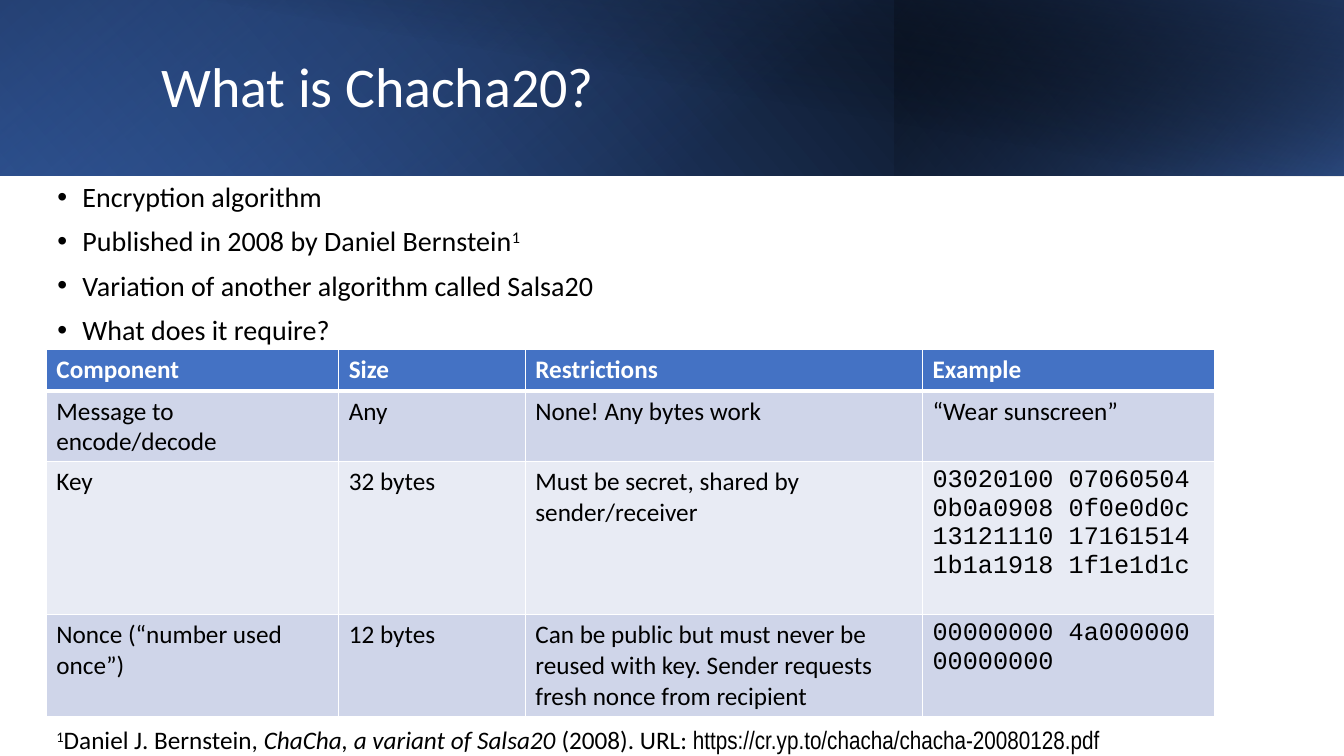
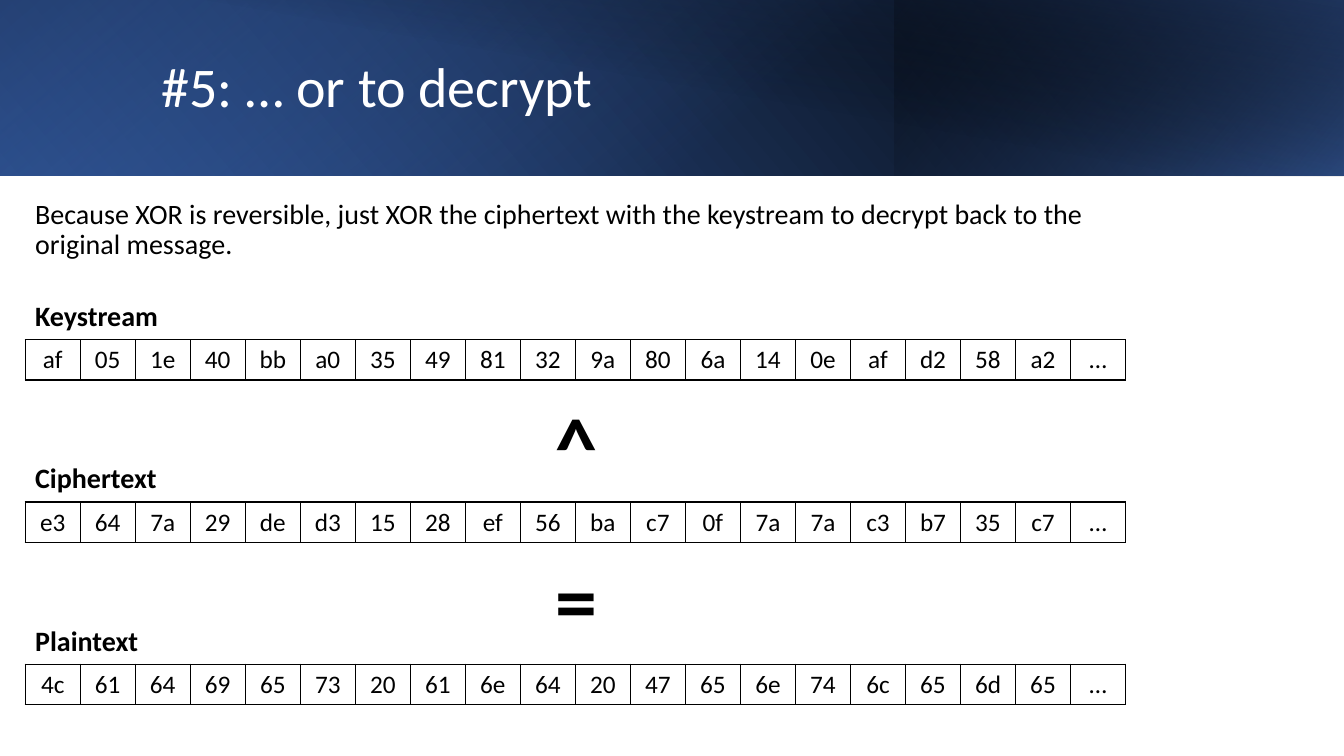
from dataclasses import dataclass

from lxml import etree
from pptx import Presentation
from pptx import util as u
from pptx.dml.color import RGBColor
from pptx.enum import shapes, text
from pptx.oxml.ns import qn


@dataclass(frozen=True)
class Theme:
    white: str = "FFFFFF"
    black: str = "000000"
    blue: str = "4472C4"
    mid_blue: str = "2F5597"
    navy: str = "203864"
    row_dark: str = "CFD5E9"
    row_light: str = "E8EBF4"
    font: str = "Calibri"
    mono: str = "Courier New"
    narrow: str = "Arial Narrow"
    title: int = 40
    body: int = 20
    small: int = 18
    operator: int = 60
    hairline: float = 0.96
    header_rule: float = 3


T = Theme()

BANDS = [
    ((0, 0, 13.33, 1.74), 0, True, 40, [(0, T.black, 100), (100, T.mid_blue, 100)]),
    ((0, 0, 8.87, 1.74), 180, True, 130, [(20, T.blue, 0), (100, T.navy, 55)]),
    ((8.87, 0, 4.46, 1.74), 0, True, 320, [(0, T.blue, 66), (100, T.black, 30)]),
    ((0.5, 0, 12.83, 1.75), 0, False, 280, [(50, T.black, 0), (100, T.navy, 52)]),
]

BULLETS = [
    [("Encryption algorithm", {})],
    [("Published in 2008 by Daniel Bernstein", {}), ("1", {"sup": True})],
    [("Variation of another algorithm called Salsa20", {})],
    [("What does it require?", {})],
]

FOOTNOTE = [
    ("1", {"sup": True}),
    ("Daniel J. Bernstein, ", {}),
    ("ChaCha, a variant of Salsa20", {"italic": True}),
    (" (2008). URL: ", {}),
    ("https://cr.yp.to/chacha/chacha-20080128.pdf", {"name": T.narrow}),
]

COMPONENTS = [
    ["Component", "Size", "Restrictions", "Example"],
    ["Message to encode/decode", "Any", "None! Any bytes work", "“Wear sunscreen”"],
    ["Key", "32 bytes", "Must be secret, shared by sender/receiver",
     "03020100 07060504 0b0a0908 0f0e0d0c\v13121110 17161514 1b1a1918 1f1e1d1c"],
    ["Nonce (“number used once”)", "12 bytes",
     "Can be public but must never be reused with key. "
     "Sender requests fresh nonce from recipient",
     "00000000 4a000000 00000000"],
]

STREAMS = [
    ("Keystream", "af 05 1e 40 bb a0 35 49 81 32 9a 80 6a 14 0e af d2 58 a2 …"),
    ("Ciphertext", "e3 64 7a 29 de d3 15 28 ef 56 ba c7 0f 7a 7a c3 b7 35 c7 …"),
    ("Plaintext", "4c 61 64 69 65 73 20 61 6e 64 20 47 65 6e 74 6c 65 6d 65 …"),
]

OPERATORS = [("^", 3.85), ("=", 5.38)]


def box(*lengths):
    return [u.Inches(n) for n in lengths]


def style(font, size, color=T.black, name=T.font, bold=False, italic=False):
    font.size = u.Pt(size)
    font.name = name
    font.bold = bold
    font.italic = italic
    font.color.rgb = RGBColor.from_string(color)


def add_band(s, at, rotation, flip, angle, stops):
    sp = s.shapes.add_shape(shapes.MSO_SHAPE.RECTANGLE, *box(*at))
    sp.shadow.inherit = False
    sp.line.fill.background()
    sp.rotation = rotation
    if flip:
        sp.element.spPr.find(qn("a:xfrm")).set("flipH", "1")
    sp.fill.gradient()
    sp.fill.gradient_angle = 360 - angle
    for stop, (position, color, _) in zip(sp.fill.gradient_stops, stops):
        stop.position = position / 100
        stop.color.rgb = RGBColor.from_string(color)
    for clr, (_, _, opacity) in zip(sp.element.spPr.iter(qn("a:srgbClr")), stops):
        if opacity < 100:
            etree.SubElement(clr, qn("a:alpha")).set("val", str(opacity * 1000))


def add_titled_slide(prs, title):
    s = prs.slides.add_slide(prs.slide_layouts[5])
    for band in BANDS:
        add_band(s, *band)
    sp = s.shapes.title
    sp.element.getparent().append(sp.element)
    sp.left, sp.top, sp.width, sp.height = box(1.5, 0.32, 10.82, 1.13)
    tf = sp.text_frame
    tf.text = title
    tf.word_wrap = True
    tf.auto_size = text.MSO_AUTO_SIZE.NONE
    tf.vertical_anchor = text.MSO_ANCHOR.MIDDLE
    p = tf.paragraphs[0]
    p.alignment = text.PP_ALIGN.LEFT
    p.line_spacing = 0.9
    style(p.runs[0].font, T.title, T.white)
    return s


def add_bullet(p):
    pPr = p._p.get_or_add_pPr()
    pPr.set("marL", str(u.Inches(0.25)))
    pPr.set("indent", str(-u.Inches(0.25)))
    etree.SubElement(pPr, qn("a:buFont")).set("typeface", "Arial")
    etree.SubElement(pPr, qn("a:buChar")).set("char", "•")


def add_text(s, at, paragraphs, size=T.body, bullets=False, bold=False,
             align=text.PP_ALIGN.LEFT, spacing=0.9):
    tf = s.shapes.add_textbox(*box(*at)).text_frame
    tf.word_wrap = True
    for i, runs in enumerate(paragraphs):
        p = tf.add_paragraph() if i else tf.paragraphs[0]
        if bullets:
            add_bullet(p)
        p.alignment = align
        p.line_spacing = spacing
        if i:
            p.space_before = u.Pt(10)
        for words, options in runs:
            r = p.add_run()
            r.text = words
            style(r.font, size, name=options.get("name", T.font), bold=bold,
                  italic=options.get("italic", False))
            if options.get("sup"):
                r._r.get_or_add_rPr().set("baseline", "30000")


def set_borders(cell, color, widths):
    tcPr = cell._tc.get_or_add_tcPr()
    for side, width in zip("LRTB", widths):
        ln = etree.SubElement(tcPr, qn(f"a:ln{side}"))
        ln.set("w", str(u.Pt(width)))
        fill = etree.SubElement(ln, qn("a:solidFill"))
        etree.SubElement(fill, qn("a:srgbClr")).set("val", color)


def add_grid(s, at, widths, heights):
    frame = s.shapes.add_table(len(heights), len(widths), *box(*at))
    table = frame.table
    table.first_row = table.horz_banding = False
    for column, width in zip(table.columns, widths):
        column.width = u.Inches(width)
    for row, height in zip(table.rows, heights):
        row.height = u.Inches(height)
    return table


def fill_cell(cell, words, fill, border, widths, align=text.PP_ALIGN.LEFT, **font):
    set_borders(cell, border, widths)
    if fill:
        cell.fill.solid()
        cell.fill.fore_color.rgb = RGBColor.from_string(fill)
    else:
        cell.fill.background()
    cell.text_frame.text = words
    for p in cell.text_frame.paragraphs:
        p.alignment = align
        for r in p.runs:
            style(r.font, T.small, **font)


def add_component_table(s):
    table = add_grid(s, (0.46, 3.47, 11.6, 3.64), [2.9, 1.85, 3.94, 2.9],
                     [0.41, 0.7, 1.52, 1.01])
    for i, row in enumerate(COMPONENTS):
        header = i == 0
        fill = T.blue if header else T.row_dark if i % 2 else T.row_light
        top = T.header_rule if i == 1 else T.hairline
        bottom = T.header_rule if header else T.hairline
        for j, words in enumerate(row):
            fill_cell(table.cell(i, j), words, fill, T.white,
                      (T.hairline, T.hairline, top, bottom),
                      color=T.white if header else T.black, bold=header,
                      name=T.mono if j == 3 and i > 1 else T.font)


def add_byte_strip(s, top, label, values):
    add_text(s, (0.25, top - 0.42, 3.38, 0.4), [[(label, {})]], bold=True)
    values = values.split()
    width = 10.92
    table = add_grid(s, (0.25, top, width, 0.4), [width / len(values)] * len(values), [0.4])
    for j, value in enumerate(values):
        fill_cell(table.cell(0, j), value, None, T.black, [T.hairline] * 4,
                  align=text.PP_ALIGN.CENTER)


def build_overview(prs):
    s = add_titled_slide(prs, "What is Chacha20?")
    add_text(s, (0.47, 1.77, 10.63, 1.74), BULLETS, bullets=True)
    add_component_table(s)
    add_text(s, (0.46, 7.14, 12.28, 0.4), [FOOTNOTE], T.small, spacing=1.0)


def build_decrypt(prs):
    s = add_titled_slide(prs, "#5: … or to decrypt")
    add_text(s, (0.25, 1.94, 10.92, 0.78), [[(
        "Because XOR is reversible, just XOR the ciphertext with the keystream "
        "to decrypt back to the original message.", {})]])
    for i, (label, values) in enumerate(STREAMS):
        add_byte_strip(s, 3.37 + 1.61 * i, label, values)
    for symbol, top in OPERATORS:
        add_text(s, (5.3, top, 0.83, 1.1), [[(symbol, {})]], T.operator, bold=True,
                 align=text.PP_ALIGN.CENTER, spacing=1.0)


def main():
    prs = Presentation()
    prs.slide_width, prs.slide_height = box(13.33, 7.5)
    build_overview(prs)
    build_decrypt(prs)
    prs.save("out.pptx")


if __name__ == "__main__":
    main()
